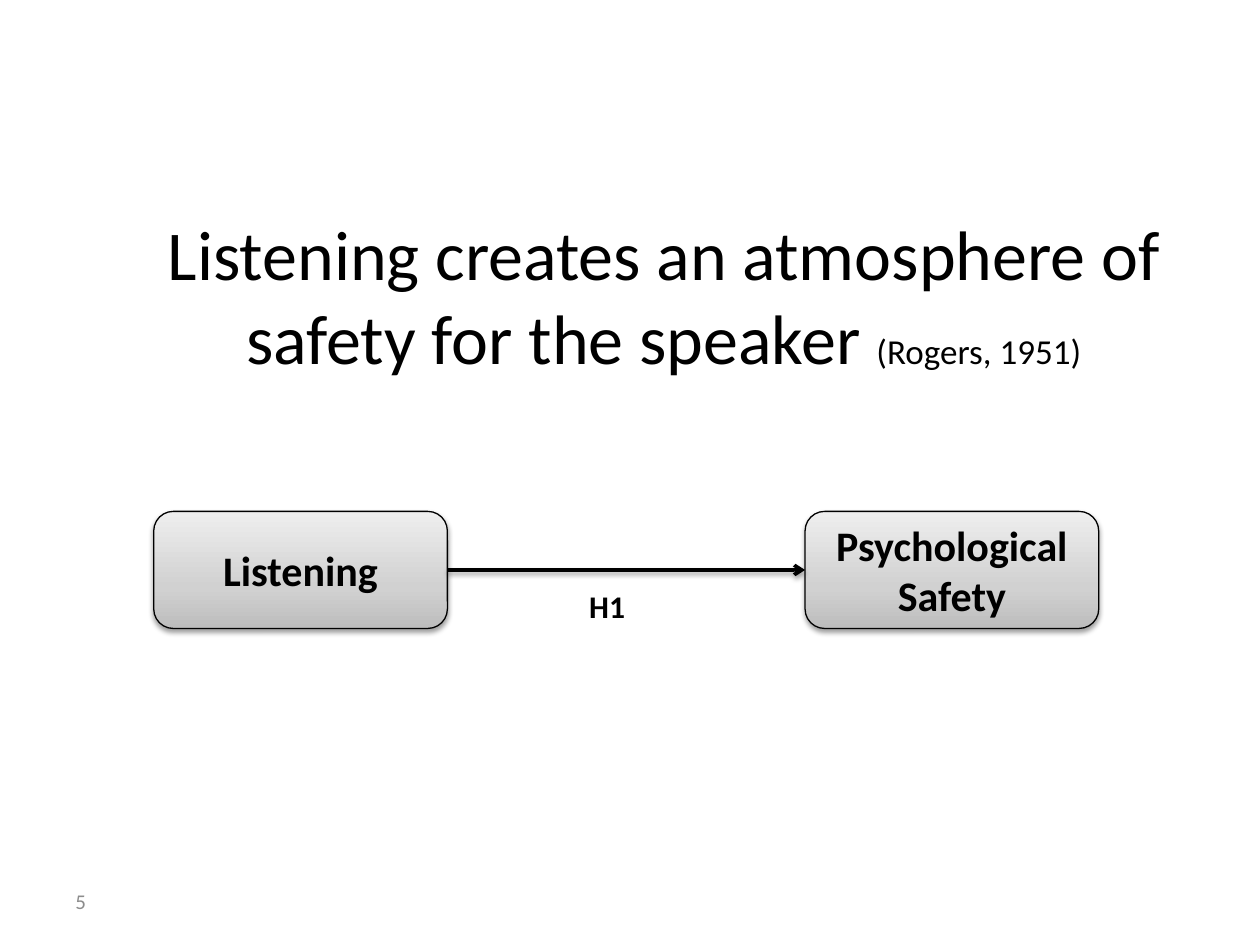
from copy import deepcopy

from lxml import etree
from pptx import Presentation
from pptx.dml.color import RGBColor
from pptx.enum.shapes import MSO_CONNECTOR, MSO_SHAPE
from pptx.enum.text import MSO_ANCHOR, PP_ALIGN
from pptx.oxml.ns import qn
from pptx.util import Cm, Pt

ROUND = MSO_SHAPE.ROUNDED_RECTANGLE
STRAIGHT = MSO_CONNECTOR.STRAIGHT
MIDDLE, TOP = MSO_ANCHOR.MIDDLE, MSO_ANCHOR.TOP
LEFT, CENTER, RIGHT = PP_ALIGN.LEFT, PP_ALIGN.CENTER, PP_ALIGN.RIGHT
FACE = "Calibri"
BLACK, GREY = "000000", "8C8C8C"
SHADES = [(0, "BDBDBD"), (0.35, "D1D1D1"), (1, "EEEEEE")]
LEFT_SITE, RIGHT_SITE = 1, 3


def rgb(code):
    return RGBColor.from_string(code)


def style(par, size, color=BLACK, bold=False, align=CENTER):
    par.alignment = align
    font = par.font
    font.name, font.size, font.bold = FACE, Pt(size), bold
    font.color.rgb = rgb(color)


def add_shadow(shape):
    """Give a shape or connector a soft shadow straight below it."""
    props = shape._element.spPr
    effects = props.find(qn("a:effectLst"))
    if effects is None:
        effects = etree.SubElement(props, qn("a:effectLst"))
    outer = etree.SubElement(
        effects, qn("a:outerShdw"), blurRad=str(Pt(3.1)),
        dist=str(Pt(1.6)), dir="5400000", rotWithShape="0")
    color = etree.SubElement(outer, qn("a:srgbClr"), val=BLACK)
    etree.SubElement(color, qn("a:alpha"), val="38000")


def shade(fill, props):
    fill.gradient()
    fill.gradient_angle = 90
    stops = props.find(qn("a:gradFill")).find(qn("a:gsLst"))
    stops.append(deepcopy(stops[0]))
    for stop, (spot, code) in zip(fill.gradient_stops, SHADES):
        stop.position = spot
        stop.color.rgb = rgb(code)


def add_claim(slide, x, y, w, h):
    body = slide.placeholders[1]
    body.left, body.top, body.width, body.height = x, y, w, h
    par = body.text_frame.paragraphs[0]
    props = par._p.get_or_add_pPr()
    props.set("marL", str(Cm(1.27)))
    props.set("indent", "0")
    etree.SubElement(props, qn("a:buNone"))
    par.space_before = Pt(0)
    style(par, 40)
    par.add_run().text = "Listening creates an atmosphere of safety for the speaker "
    cite = par.add_run()
    cite.text = "(Rogers, 1951)"
    cite.font.size = Pt(20)


def add_node(slide, lines, x, y, w, h):
    node = slide.shapes.add_shape(ROUND, x, y, w, h)
    node.shadow.inherit = False
    shade(node.fill, node._element.spPr)
    node.line.color.rgb = rgb(BLACK)
    node.line.width = Pt(0.75)
    add_shadow(node)
    frame = node.text_frame
    frame.vertical_anchor = MIDDLE
    frame.text = "\n".join(lines)
    for par in frame.paragraphs:
        style(par, 24, bold=True)
    return node


def add_arrow(slide, start, end):
    arrow = slide.shapes.add_connector(STRAIGHT, 0, 0, 0, 0)
    arrow.begin_connect(start, RIGHT_SITE)
    arrow.end_connect(end, LEFT_SITE)
    arrow.line.color.rgb = rgb(BLACK)
    arrow.line.width = Pt(2)
    etree.SubElement(arrow.line._get_or_add_ln(), qn("a:tailEnd"), type="arrow")
    add_shadow(arrow)


def add_label(slide, text, x, y, w, h, anchor=TOP, **look):
    frame = slide.shapes.add_textbox(x, y, w, h).text_frame
    frame.word_wrap = True
    frame.vertical_anchor = anchor
    frame.text = text
    style(frame.paragraphs[0], **look)


def add_model(slide, x, y, w, h):
    """Two nodes at the ends of the box, joined by a labelled arrow."""
    wide = Cm(5.92)
    cause = add_node(slide, ["Listening"], x, y, wide, h)
    effect = add_node(slide, ["Psychological", "Safety"], x + w - wide, y, wide, h)
    add_arrow(slide, cause, effect)
    add_label(slide, "H1", x + Cm(8.05), y + Cm(1.4), Cm(1.7), Cm(1.02),
              size=18, bold=True, align=RIGHT)


def main():
    deck = Presentation()
    deck.slide_width, deck.slide_height = Cm(25.4), Cm(19.05)
    slide = deck.slides.add_slide(deck.slide_layouts[1])
    title = slide.shapes.title._element
    title.getparent().remove(title)
    add_claim(slide, Cm(1.32), Cm(4.11), Cm(22.86), Cm(12.57))
    add_model(slide, Cm(3.1), Cm(10.31), Cm(19.05), Cm(2.36))
    add_label(slide, "5", Cm(1.27), Cm(17.65), Cm(5.92), Cm(1.02),
              MIDDLE, size=12, color=GREY, align=LEFT)
    deck.save("out.pptx")


if __name__ == "__main__":
    main()
